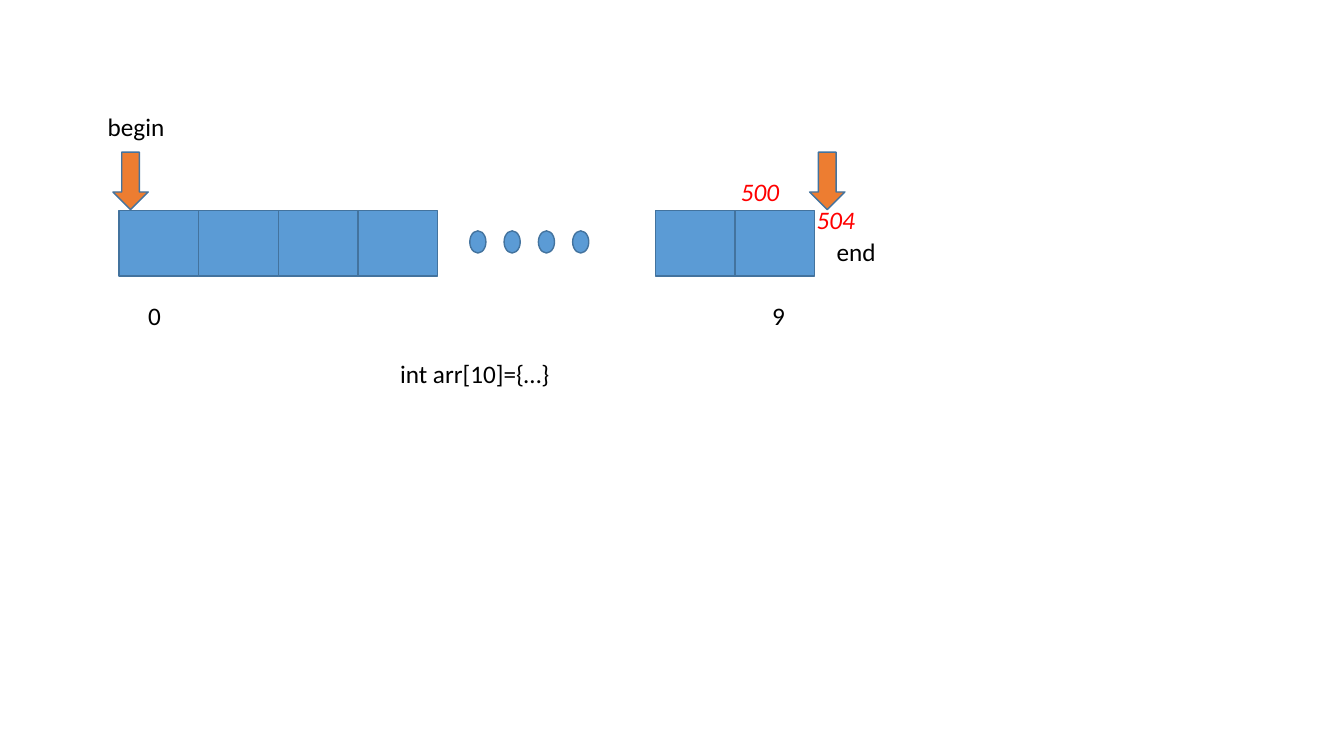
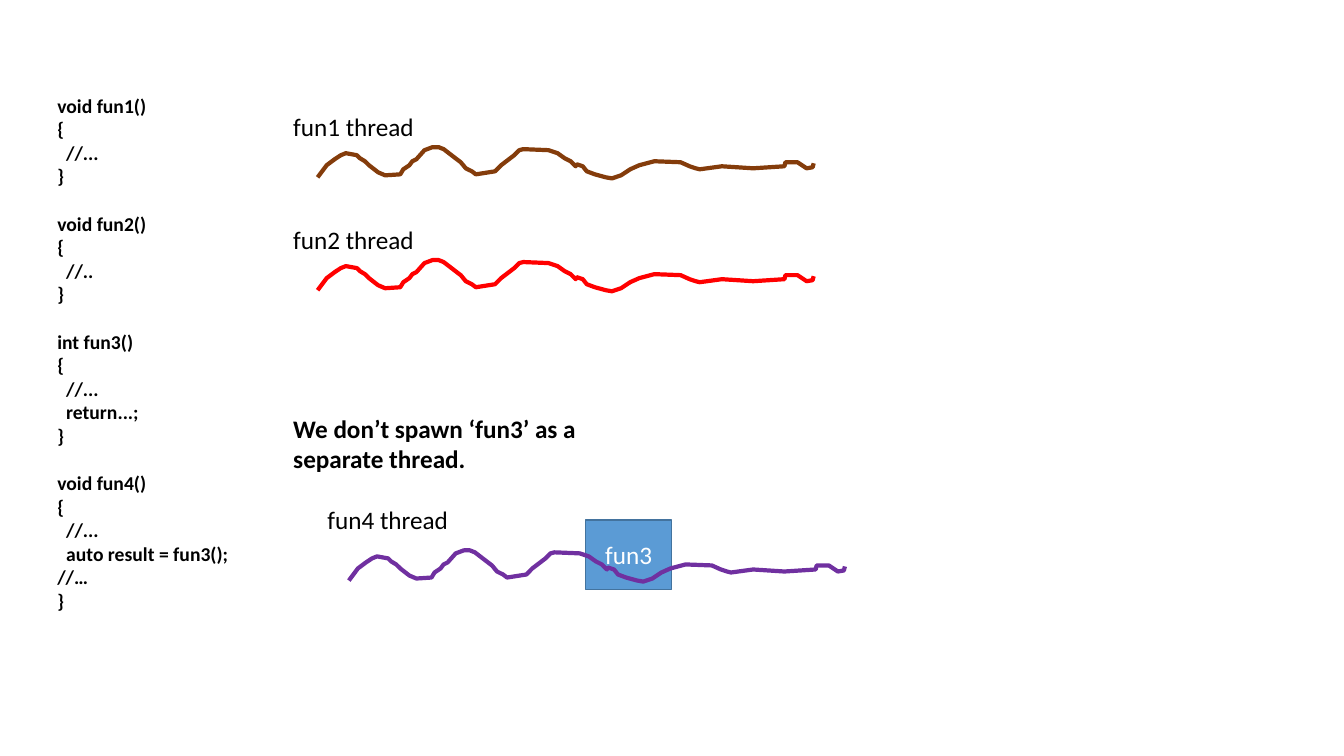
from pptx import Presentation
from pptx.dml.color import RGBColor
from pptx.enum.shapes import MSO_SHAPE
from pptx.enum.text import MSO_ANCHOR, PP_ALIGN
from pptx.util import Inches, Pt

COLORS = {
    "cell": "5B9BD5", "outline": "43739E", "pointer": "ED7D31",
    "text": "000000", "light": "FFFFFF", "red": "FF0000",
    "brown": "843C0B", "purple": "7030A0",
}
FONT = "Calibri"
CODE_LINE = Pt(17)

FUNCTIONS = [
    ["void fun1()", "{", "  //...", "}"],
    ["void fun2()", "{", "  //..", "}"],
    ["int fun3()", "{", "  //...", "  return...;", "}"],
    ["void fun4()", "{", "  //...", "  auto result = fun3();", "//…", "}"],
]

# Thread curve, in inches from its top left corner
WAVE = [
    (0, .30), (.06, .22), (.09, .18), (.17, .12), (.23, .08), (.28, .06),
    (.39, .08), (.42, .11), (.47, .14), (.51, .18), (.60, .25), (.67, .28),
    (.82, .27), (.85, .22), (.91, .18), (.94, .14), (.98, .12), (1.06, .03),
    (1.14, 0), (1.20, 0), (1.25, .02), (1.38, .12), (1.42, .15), (1.47, .21),
    (1.53, .24), (1.57, .27), (1.76, .24), (1.82, .18), (1.95, .08),
    (2.00, .03), (2.04, .02), (2.29, .03), (2.38, .06), (2.45, .11),
    (2.51, .14), (2.56, .19), (2.57, .17), (2.63, .19), (2.67, .24),
    (2.75, .27), (2.86, .30), (2.92, .31), (3.01, .28), (3.10, .22),
    (3.19, .18), (3.34, .14), (3.60, .15), (3.69, .19), (3.75, .21),
    (3.79, .22), (4.01, .19), (4.32, .21), (4.63, .19), (4.64, .15),
    (4.76, .15), (4.85, .21), (4.91, .20), (4.92, .16),
]


def color(name):
    return RGBColor.from_string(COLORS[name])


def style_font(paragraph, size=18, name="text", bold=False, italic=False):
    font = paragraph.font
    font.name, font.size = FONT, Pt(size)
    font.bold, font.italic = bold, italic
    font.color.rgb = color(name)


def add_label(slide, text, left, top, width, height=0.4, **style):
    label = slide.shapes.add_textbox(
        Inches(left), Inches(top), Inches(width), Inches(height))
    label.text_frame.word_wrap = True
    label.text_frame.text = text
    style_font(label.text_frame.paragraphs[0], **style)


def add_block(slide, kind, left, top, width, height, fill="cell"):
    block = slide.shapes.add_shape(
        kind, Inches(left), Inches(top), Inches(width), Inches(height))
    block.shadow.inherit = False
    block.fill.solid()
    block.fill.fore_color.rgb = color(fill)
    block.line.color.rgb = color("outline")
    block.line.width = Pt(1)
    return block


def add_row(slide, kind, left, top, width, height, count, pitch):
    for i in range(count):
        add_block(slide, kind, left + i * pitch, top, width, height)


def add_array(slide, left, top):
    # Cells, with dots for the ones left out
    for offset, count in ((0, 4), (5.32, 2)):
        add_row(slide, MSO_SHAPE.RECTANGLE, left + offset, top,
                0.79, 0.65, count, 0.79)
    add_row(slide, MSO_SHAPE.OVAL, left + 3.48, top + 0.2,
            0.16, 0.22, 4, 0.34)
    # Indexes and declaration
    for index, offset in (("0", 0.19), ("9", 6.38)):
        add_label(slide, index, left + offset, top + 0.84, 0.34)
    add_label(slide, "int arr[10]={…}", left + 2.69, top + 1.42, 2.24)
    # Begin and end pointers
    for offset in (-0.06, 6.85):
        add_block(slide, MSO_SHAPE.DOWN_ARROW, left + offset, top - 0.58,
                  0.35, 0.57, "pointer")
    add_label(slide, "end", left + 7.02, top + 0.21, 1.13)
    add_label(slide, "begin", left - 0.21, top - 1.03, 1.13)
    # Addresses
    for address, dx, dy in (("500", 6.07, -0.39), ("504", 6.82, -0.11)):
        add_label(slide, address, left + dx, top + dy, 0.65,
                  name="red", italic=True)


def add_code(slide, left, top, width, height):
    listing = slide.shapes.add_textbox(
        Inches(left), Inches(top), Inches(width), Inches(height))
    frame = listing.text_frame
    frame.word_wrap = True
    frame.text = "\n".join(line for body in FUNCTIONS for line in body)
    paragraphs = iter(frame.paragraphs)
    for number, body in enumerate(FUNCTIONS):
        for row in range(len(body)):
            paragraph = next(paragraphs)
            style_font(paragraph, size=14, bold=True)
            if number and row == 0:
                paragraph.space_before = CODE_LINE


def add_thread(slide, text, left, top, name, label_dx=-0.34, label_dy=-0.4):
    points = [(Inches(left + x), Inches(top + y)) for x, y in WAVE]
    builder = slide.shapes.build_freeform(*points[0])
    builder.add_line_segments(points[1:], close=False)
    wave = builder.convert_to_shape()
    wave.shadow.inherit = False
    wave.fill.background()
    wave.line.color.rgb = color(name)
    wave.line.width = Pt(3)
    add_label(slide, text, left + label_dx, top + label_dy, 1.53)


def add_call(slide, text, left, top, width, height):
    call = add_block(slide, MSO_SHAPE.RECTANGLE, left, top, width, height)
    call.text_frame.text = text
    call.text_frame.vertical_anchor = MSO_ANCHOR.MIDDLE
    paragraph = call.text_frame.paragraphs[0]
    paragraph.alignment = PP_ALIGN.CENTER
    style_font(paragraph, name="light")


def build_array_slide(slide):
    add_array(slide, 1.18, 2.09)


def build_threads_slide(slide):
    add_code(slide, 0.47, 0.88, 2.17, 5.29)
    add_thread(slide, "fun1 thread", 3.15, 1.46, "brown")
    add_thread(slide, "fun2 thread", 3.15, 2.58, "red")
    # fun3 runs inside the fun4 thread
    add_label(slide, "We don’t spawn ‘fun3’ as a separate thread.",
              2.81, 4.05, 3.71, 0.71, bold=True)
    add_call(slide, "fun3", 5.81, 5.16, 0.85, 0.69)
    add_thread(slide, "fun4 thread", 3.46, 5.46, "purple", -0.31, -0.51)


def main():
    deck = Presentation()
    deck.slide_width, deck.slide_height = Inches(13.33), Inches(7.5)
    blank = deck.slide_layouts[6]
    for build in (build_array_slide, build_threads_slide):
        build(deck.slides.add_slide(blank))
    deck.save("out.pptx")


if __name__ == "__main__":
    main()
